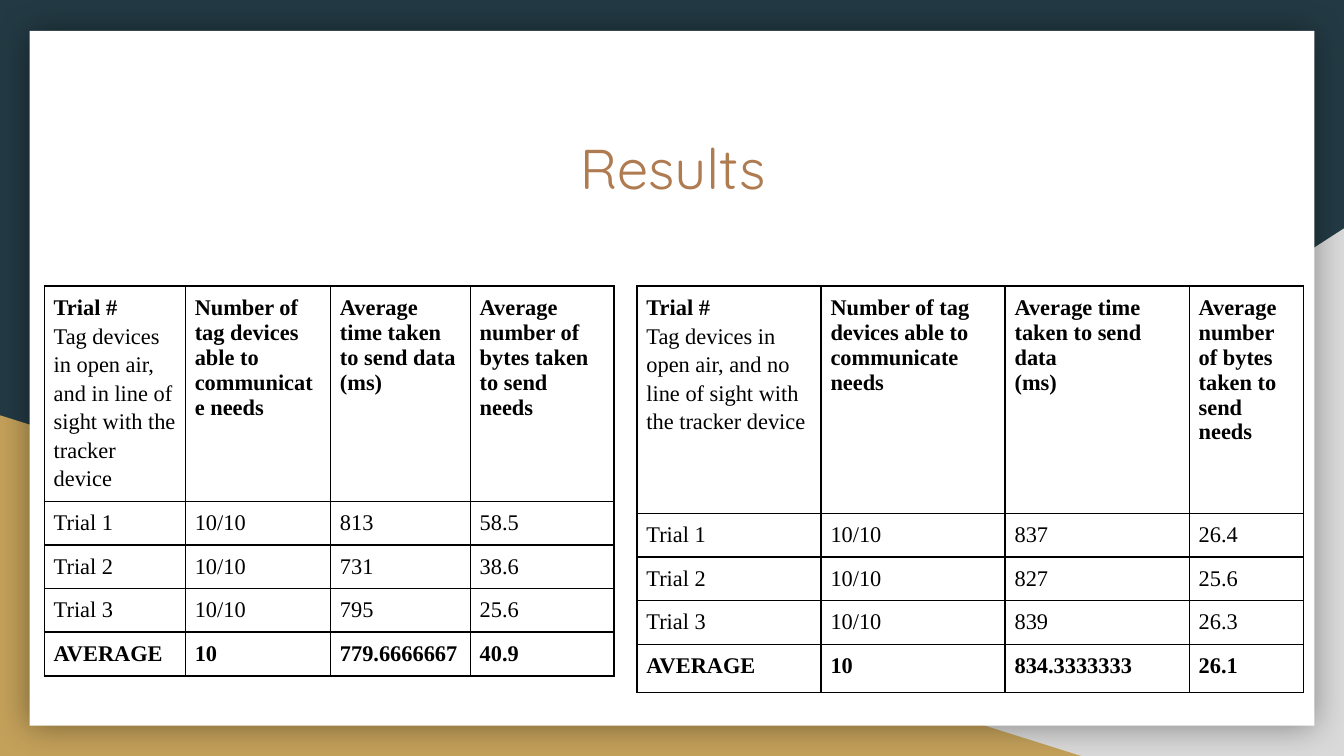
from lxml import etree
from pptx import Presentation
from pptx import util as u
from pptx.dml.color import RGBColor
from pptx.enum import shapes, text
from pptx.oxml import ns

HUES = {"navy": "233A44", "grey": "D9D9D9", "gold": "C4A15A",
        "white": "FFFFFF", "brown": "AF7B51", "black": "000000"}
SIDES = ("left", "right", "top", "bottom")


def hue(name):
    return RGBColor.from_string(HUES[name])


def style(para, face, size, tone, bold=False):
    form = {"name": face, "size": u.Pt(size), "bold": bold}
    for key, val in form.items():
        setattr(para.font, key, val)
    para.font.color.rgb = hue(tone)


# Widescreen page, 16 to 9
deck = Presentation()
deck.slide_width = u.Inches(10)
deck.slide_height = deck.slide_width * 9 // 16
page = deck.slides.add_slide(deck.slide_layouts[5])
page.background.fill.solid()
page.background.fill.fore_color.rgb = hue("navy")

# Corner triangles and white card
KIND = shapes.MSO_SHAPE
parts = [(KIND.RIGHT_TRIANGLE, "grey", (3.92, 1.7, 6.08, 3.93)),
         (KIND.RIGHT_TRIANGLE, "gold", (0, 3.09, 8.06, 2.54)),
         (KIND.RECTANGLE, "white", (0.22, 0.23, 9.56, 5.17))]
for kind, tone, box in parts:
    item = page.shapes.add_shape(kind, *map(u.Inches, box))
    item.shadow.inherit = False
    item.fill.solid()
    item.fill.fore_color.rgb = hue(tone)
    item.line.fill.background()
    if tone == "grey":
        item._element.spPr.find(ns.qn("a:xfrm")).set("flipH", "1")
card = item

# Soft shadow around the card
glow = card._element.spPr.find(ns.qn("a:effectLst"))
cast = etree.SubElement(glow, ns.qn("a:outerShdw"), blurRad=str(u.Pt(18)),
                        dist="0", dir="0", algn="ctr", rotWithShape="0")
ink = etree.SubElement(cast, ns.qn("a:srgbClr"), val=HUES["black"])
etree.SubElement(ink, ns.qn("a:alpha"), val="40000")

# Title, raised above the card
title = page.shapes.title
place = {"left": 0.9, "top": 0.89, "width": 8.21, "height": 1.04}
for key, val in place.items():
    setattr(title, key, u.Inches(val))
frame = title.text_frame
for side in SIDES:
    setattr(frame, "margin_" + side, u.Inches(0.1))
frame.text = "Results"
frame.vertical_anchor = text.MSO_ANCHOR.TOP
frame.paragraphs[0].alignment = text.PP_ALIGN.CENTER
style(frame.paragraphs[0], "Quicksand", 30, "brown")
page.shapes._spTree.append(title._element)

# Trial tables: left edge, columns, header and last row heights, sight, time, values
sets = [
    (0.33, (1.05, 1.08, 1.04, 1.07), 1.39, 0.27, "in line of sight",
     "Average time taken to send data (ms)",
     [("813", "58.5"), ("731", "38.6"), ("795", "25.6"), ("779.6666667", "40.9")]),
    (4.74, (1.37, 1.37, 1.37, 0.85), 1.69, 0.36, "no line of sight",
     "Average time taken to send data\n(ms)",
     [("837", "26.4"), ("827", "25.6"), ("839", "26.3"), ("834.3333333", "26.1")]),
]
for left, cols, head, last, sight, time, vals in sets:
    rows = [(f"Trial #\nTag devices in open air, and {sight} with the tracker device",
             "Number of tag devices able to communicate needs", time,
             "Average number of bytes taken to send needs")]
    for n, pair in enumerate(vals[:-1], 1):
        rows.append((f"Trial {n}", "10/10", *pair))
    rows.append(("AVERAGE", "10", *vals[-1]))
    highs = (head, 0.27, 0.27, 0.27, last)

    area = (left, 2.13, sum(cols), sum(highs))
    grid = page.shapes.add_table(len(rows), len(cols), *map(u.Inches, area)).table
    grid.first_row = grid.horz_banding = False
    for col, wide in zip(grid.columns, cols):
        col.width = u.Inches(wide)
    for r, (row, words) in enumerate(zip(grid.rows, rows)):
        row.height = u.Inches(highs[r])
        for c, (cell, word) in enumerate(zip(row.cells, words)):
            cell.text = word
            for side in SIDES:
                setattr(cell, "margin_" + side, u.Inches(0.07))
            for p, para in enumerate(cell.text_frame.paragraphs):
                note = r == c == 0 and p == 1
                style(para, "Times New Roman", 12, "black",
                      r in (0, len(rows) - 1) and not note)
                if note:
                    para.line_spacing = 1.15
            # Black rule on each side, no fill
            props = cell._tc.get_or_add_tcPr()
            for side in SIDES:
                rule = etree.SubElement(props, ns.qn("a:ln" + side[0].upper()),
                                        w=str(u.Pt(1)))
                fill = etree.SubElement(rule, ns.qn("a:solidFill"))
                etree.SubElement(fill, ns.qn("a:srgbClr"), val=HUES["black"])
            cell.fill.background()

deck.save("out.pptx")
